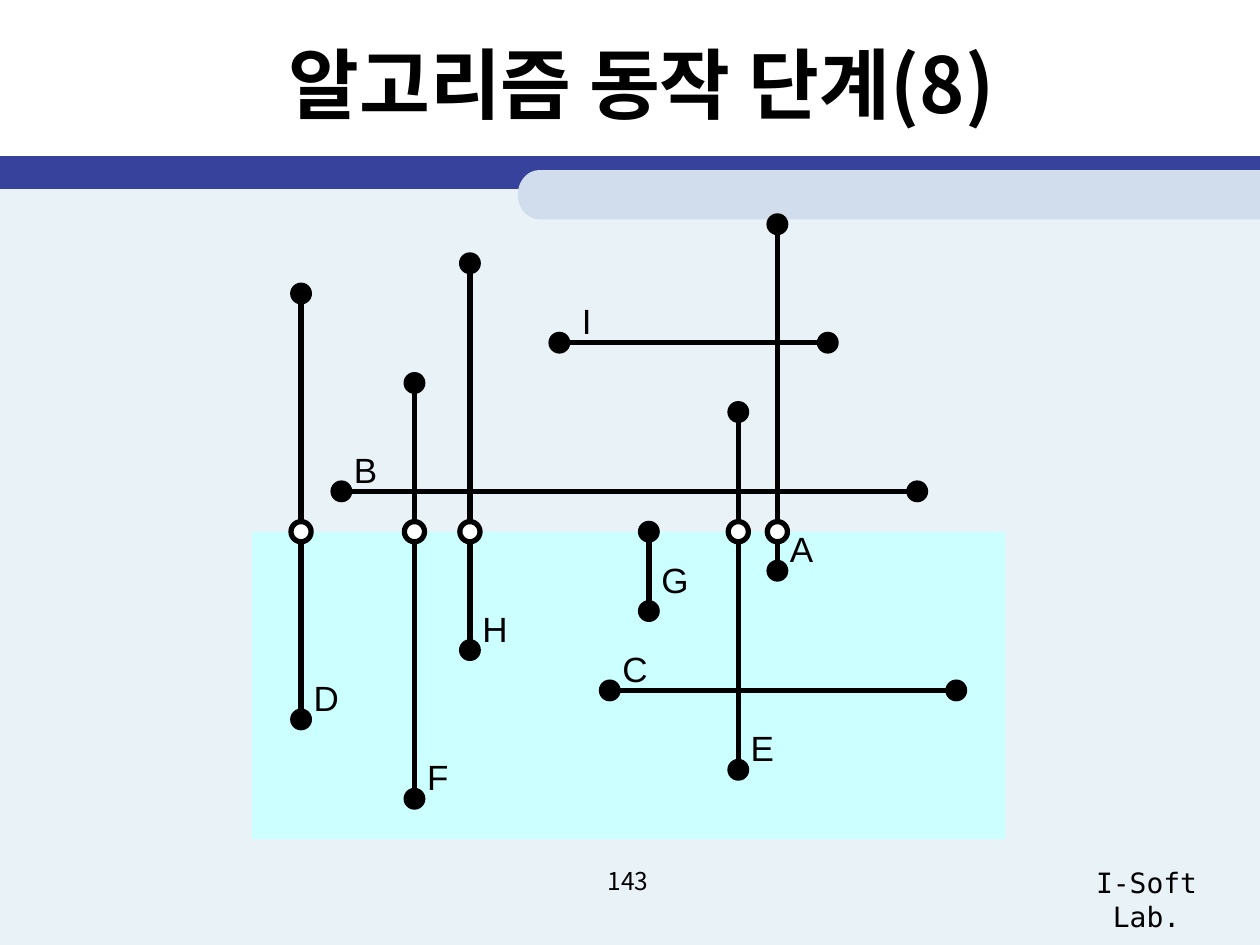
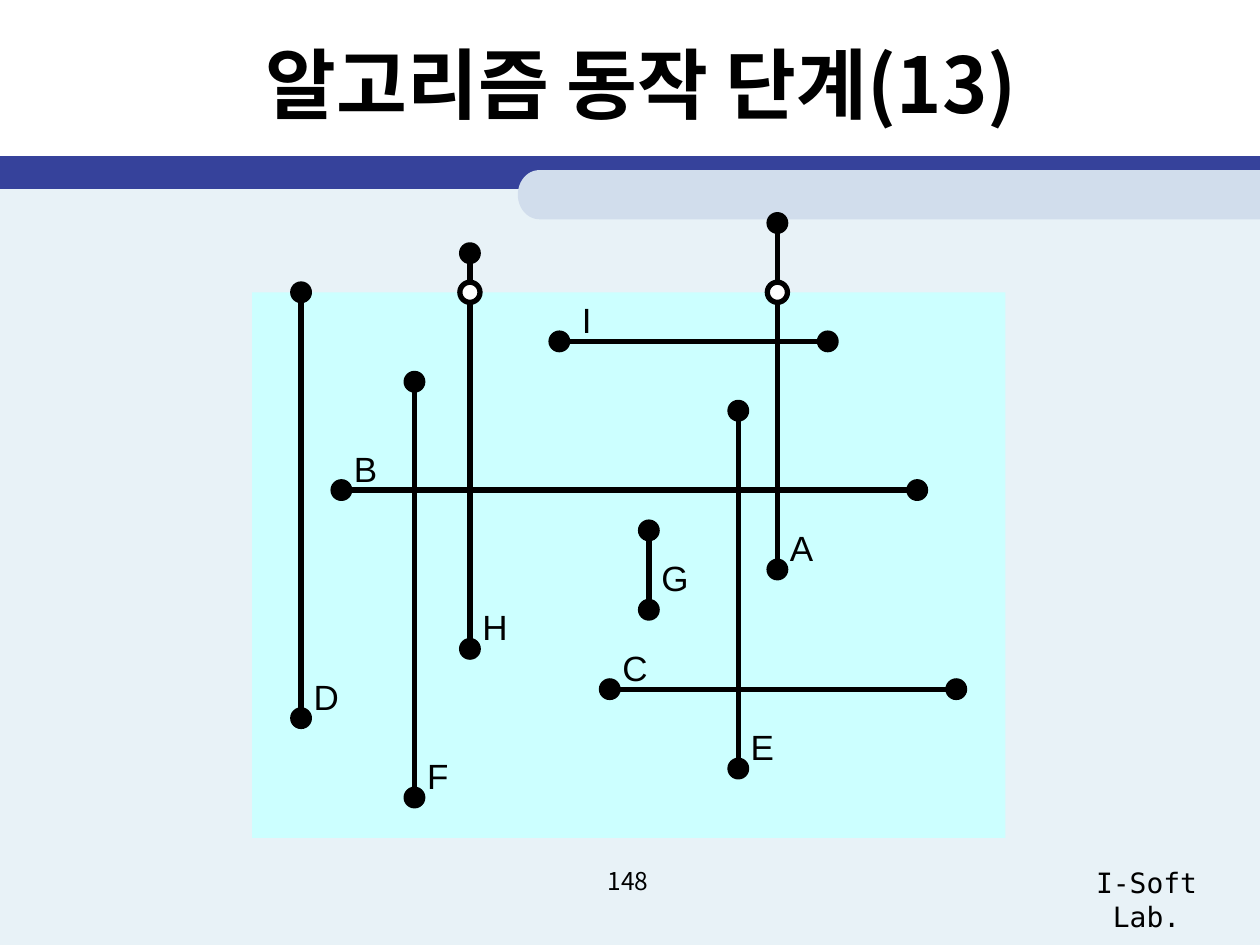
from dataclasses import dataclass
from math import cos, pi, sin

from lxml import etree
from pptx import Presentation
from pptx.dml.color import RGBColor
from pptx.enum.shapes import MSO_CONNECTOR, MSO_SHAPE
from pptx.enum.text import MSO_ANCHOR, MSO_AUTO_SIZE, PP_ALIGN
from pptx.oxml.ns import qn
from pptx.util import Inches, Pt

RECTANGLE, ELLIPSE = MSO_SHAPE.RECTANGLE, MSO_SHAPE.OVAL
STRAIGHT = MSO_CONNECTOR.STRAIGHT
CENTER, MIDDLE = PP_ALIGN.CENTER, MSO_ANCHOR.MIDDLE
NO_AUTOFIT = MSO_AUTO_SIZE.NONE

BLACK, WHITE = "000000", "FFFFFF"
PAGE_TINT, BAND_BLUE, TAB_BLUE = "E8F2F7", "36429B", "D1DDEC"
SWEPT_CYAN = "CCFFFF"
KOREAN, MONO, LABEL_FONT = "Noto Sans CJK KR", "DejaVu Sans Mono", "Arial"

PAGE_WIDTH, PAGE_HEIGHT = 10, 7.5
DOT = 0.16
SWEPT_LEFT, SWEPT_WIDTH, SWEPT_BOTTOM = 2, 5.98, 6.66
LABEL_HEIGHT = 0.44


@dataclass
class Segment:
    """A line segment; its label sits beside the left or lower end."""
    name: str
    start: tuple
    end: tuple
    label_width: float
    label_shift: float = 0
    label_rise: float = 0.39

    @property
    def vertical(self):
        return self.start[0] == self.end[0]

    def crosses(self, sweep):
        return self.vertical and self.start[1] + 0.05 < sweep < self.end[1]


def segments(top_of_h):
    return [
        Segment("A", (6.17, 1.78), (6.17, 4.53), 0.38),
        Segment("B", (2.71, 3.9), (7.28, 3.9), 0.38),
        Segment("C", (4.84, 5.48), (7.59, 5.48), 0.4),
        Segment("D", (2.39, 2.33), (2.39, 5.71), 0.4),
        Segment("E", (5.86, 3.27), (5.86, 6.11), 0.38),
        Segment("F", (3.29, 3.04), (3.29, 6.34), 0.37),
        Segment("G", (5.15, 4.22), (5.15, 4.85), 0.41, label_rise=0.47),
        Segment("H", (3.73, top_of_h), (3.73, 5.16), 0.4),
        Segment("I", (4.44, 2.72), (6.57, 2.72), 0.27, label_shift=0.08),
    ]


def color(value):
    return RGBColor.from_string(value)


def paint(shape, fill, line=None, line_width=1):
    shape.shadow.inherit = False
    shape.fill.solid()
    shape.fill.fore_color.rgb = color(fill)
    if line:
        shape.line.color.rgb = color(line)
        shape.line.width = Pt(line_width)
    else:
        shape.line.fill.background()


def add_rectangle(shapes, left, top, width, height, fill):
    shape = shapes.add_shape(RECTANGLE, Inches(left), Inches(top),
                             Inches(width), Inches(height))
    paint(shape, fill)


def add_dot(shapes, x, y, fill=BLACK, line_width=1):
    """Place an end point or crossing mark centred on x, y."""
    shape = shapes.add_shape(ELLIPSE, Inches(x - DOT / 2), Inches(y - DOT / 2),
                             Inches(DOT), Inches(DOT))
    paint(shape, fill, BLACK, line_width)


def add_line(shapes, x1, y1, x2, y2):
    line = shapes.add_connector(STRAIGHT, Inches(x1), Inches(y1),
                                Inches(x2), Inches(y2))
    line.line.color.rgb = color(BLACK)
    line.line.width = Pt(3)
    etree.SubElement(line._element.spPr, qn("a:effectLst"))


def write(frame, text, font, size, bold=False):
    para = frame.paragraphs[0]
    para.alignment = CENTER
    span = para.add_run()
    span.text = text
    span.font.name = font
    span.font.size = Pt(size)
    span.font.bold = bold
    span.font.color.rgb = color(BLACK)
    east_asian = etree.SubElement(span.font._element, qn("a:ea"))
    east_asian.set("typeface", font)


def add_text(shapes, left, top, width, height, text, font, size, wrap=True):
    box = shapes.add_textbox(Inches(left), Inches(top), Inches(width), Inches(height))
    box.text_frame.word_wrap = wrap
    write(box.text_frame, text, font, size)


def add_round_tab(shapes, left, top, height, radius):
    """Draw the pale tab: round on the left, running to the page's right edge."""
    steps = 24
    angles = [pi / 2 + pi * step / steps for step in range(steps + 1)]
    curve = [(Inches(left + radius + radius * cos(angle)),
              Inches(top + height / 2 - height / 2 * sin(angle))) for angle in angles]
    right = Inches(PAGE_WIDTH)
    outline = shapes.build_freeform(right, Inches(top))
    outline.add_line_segments(curve + [(right, Inches(top + height))], close=True)
    paint(outline.convert_to_shape(), TAB_BLUE)


def add_page(deck, title, number):
    page = deck.slides.add_slide(deck.slide_layouts[5])
    shapes = page.shapes
    add_rectangle(shapes, 0, 1.4, PAGE_WIDTH, PAGE_HEIGHT - 1.4, PAGE_TINT)
    add_rectangle(shapes, 0, 1.24, PAGE_WIDTH, 0.26, BAND_BLUE)
    add_round_tab(shapes, 4.11, 1.35, 0.39, 0.17)
    add_text(shapes, 8.31, 6.82, 1.58, 0.37, "I-Soft Lab.", MONO, 16)
    add_text(shapes, 3.82, 6.82, 2.33, 0.52, number, KOREAN, 14)

    heading = shapes.title
    heading.left, heading.top = Inches(0.59), Inches(0.08)
    heading.width, heading.height = Inches(9), Inches(1.15)
    heading.text_frame.auto_size = NO_AUTOFIT
    heading.text_frame.vertical_anchor = MIDDLE
    write(heading.text_frame, title, KOREAN, 44, bold=True)
    return page


def add_segment(shapes, segment, sweep, lift):
    (x1, y1), (x2, y2) = segment.start, segment.end
    y1, y2 = y1 - lift, y2 - lift
    add_line(shapes, x1, y1, x2, y2)
    add_dot(shapes, x1, y1)
    add_dot(shapes, x2, y2)
    if segment.crosses(sweep + lift):
        add_dot(shapes, x1, sweep, WHITE, 3)
    add_text(shapes, x1 + segment.label_shift, y2 - segment.label_rise,
             segment.label_width, LABEL_HEIGHT, segment.name, LABEL_FONT, 20, wrap=False)


def add_sweep_diagram(page, sweep, top_of_h, lift=0):
    """Shade the region below the sweep line and mark the segments it cuts."""
    shapes = page.shapes.add_group_shape().shapes
    add_rectangle(shapes, SWEPT_LEFT, sweep, SWEPT_WIDTH,
                  SWEPT_BOTTOM - lift - sweep, SWEPT_CYAN)
    for segment in segments(top_of_h):
        add_segment(shapes, segment, sweep, lift)


def main():
    deck = Presentation()
    deck.slide_width, deck.slide_height = Inches(PAGE_WIDTH), Inches(PAGE_HEIGHT)
    page = add_page(deck, "알고리즘 동작 단계(8)", "143")
    add_sweep_diagram(page, sweep=4.22, top_of_h=2.09)
    page = add_page(deck, "알고리즘 동작 단계(13)", "148")
    add_sweep_diagram(page, sweep=2.32, top_of_h=2.02, lift=0.01)
    deck.save("out.pptx")


if __name__ == "__main__":
    main()
